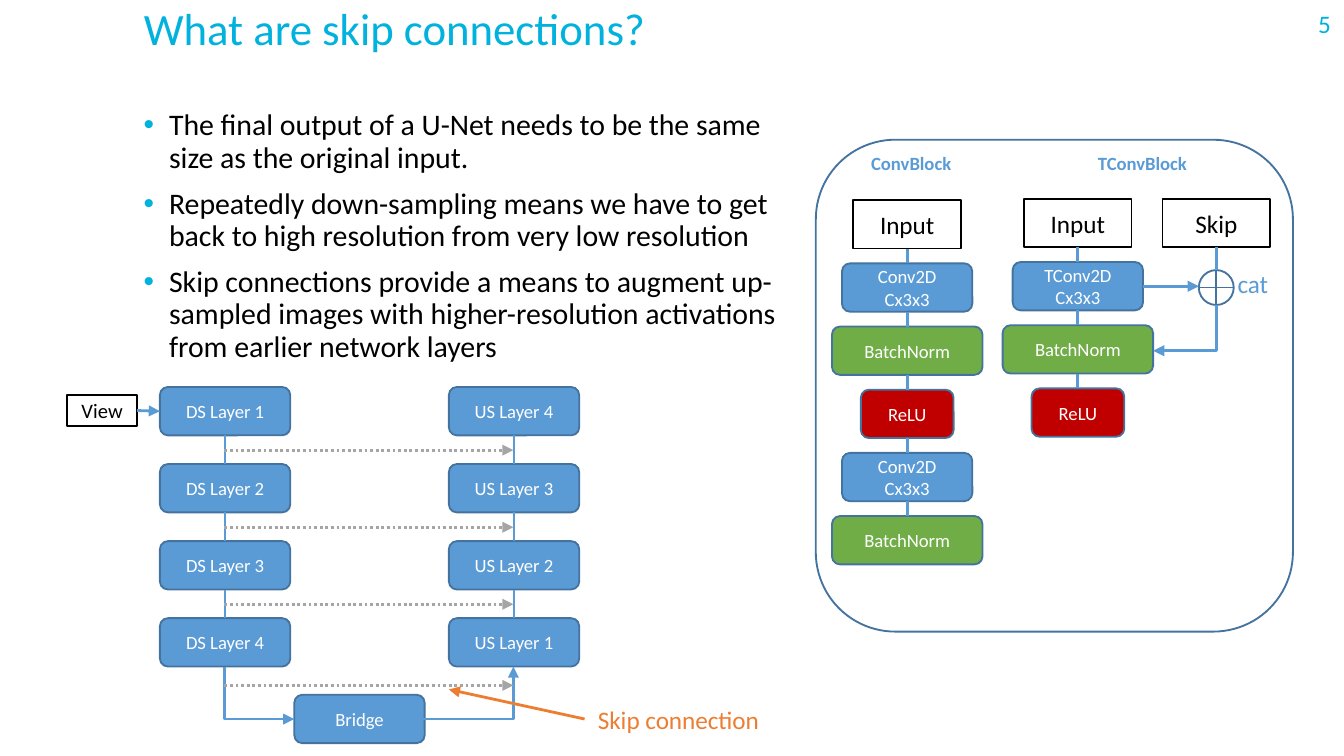
from dataclasses import dataclass

from lxml import etree
from pptx import Presentation
from pptx.dml.color import RGBColor
from pptx.enum.dml import MSO_LINE
from pptx.enum.shapes import MSO_CONNECTOR, MSO_SHAPE
from pptx.enum.text import MSO_ANCHOR, PP_ALIGN
from pptx.oxml.ns import qn
from pptx.util import Inches, Pt

STRAIGHT, ELBOW = MSO_CONNECTOR.STRAIGHT, MSO_CONNECTOR.ELBOW
RECT, ROUND = MSO_SHAPE.RECTANGLE, MSO_SHAPE.ROUNDED_RECTANGLE
CIRCLE = MSO_SHAPE.FLOWCHART_OR
LEFT, CENTER, RIGHT = PP_ALIGN.LEFT, PP_ALIGN.CENTER, PP_ALIGN.RIGHT
TOP, MIDDLE = MSO_ANCHOR.TOP, MSO_ANCHOR.MIDDLE
DOTS = MSO_LINE.ROUND_DOT
TOP_SIDE, LEFT_SIDE, BOTTOM_SIDE, RIGHT_SIDE = range(4)


@dataclass
class Theme:
    font: str = "Calibri"
    accent: str = "00B2DD"
    black: str = "000000"
    white: str = "FFFFFF"
    blue: str = "5B9BD5"
    edge: str = "43739E"
    green: str = "70AD47"
    red: str = "C00000"
    gray: str = "A5A5A5"
    orange: str = "ED7D31"
    title: float = 24
    body: float = 16
    label: float = 13.5
    view: float = 11
    small: float = 10


class Page:
    def __init__(self, slide, theme):
        self.slide, self.theme = slide, theme

    def run(self, para, text, size, color, bold=False):
        run = para.add_run()
        run.text = text
        font = run.font
        font.name, font.size, font.bold = self.theme.font, Pt(size), bold
        font.color.rgb = RGBColor.from_string(color)

    def title(self, text, x, y, w, h):
        shape = self.slide.shapes.title
        shape.left, shape.top, shape.width, shape.height = map(Inches, (x, y, w, h))
        frame = shape.text_frame
        frame.vertical_anchor = TOP
        para = frame.paragraphs[0]
        para.alignment, para.line_spacing = LEFT, 0.9
        self.run(para, text, self.theme.title, self.theme.accent)

    def label(self, text, x, y, w, h, color, size, align=LEFT, bold=False, wrap=False):
        box = self.slide.shapes.add_textbox(*map(Inches, (x, y, w, h)))
        box.text_frame.word_wrap = wrap
        para = box.text_frame.paragraphs[0]
        para.alignment = align
        self.run(para, text, size, color, bold)

    def bullets(self, items, x, y, w, h):
        box = self.slide.shapes.add_textbox(*map(Inches, (x, y, w, h)))
        frame = box.text_frame
        frame.word_wrap = True
        for i, item in enumerate(items):
            para = frame.add_paragraph() if i else frame.paragraphs[0]
            props = para._p.get_or_add_pPr()
            props.set("marL", str(Inches(0.19)))
            props.set("indent", str(-Inches(0.19)))
            tint = etree.SubElement(props, qn("a:buClr"))
            etree.SubElement(tint, qn("a:srgbClr"), val=self.theme.accent)
            etree.SubElement(props, qn("a:buFont"), typeface="Arial")
            etree.SubElement(props, qn("a:buChar"), char="•")
            para.line_spacing = 0.9
            para.space_before = Pt(7.5 if i else 0)
            self.run(para, item, self.theme.body, self.theme.black)

    def box(self, kind, x, y, w, h, lines=(), fill=None, edge=None, color=None, size=None):
        theme = self.theme
        shape = self.slide.shapes.add_shape(kind, *map(Inches, (x, y, w, h)))
        shape.shadow.inherit = False
        if fill:
            shape.fill.solid()
            shape.fill.fore_color.rgb = RGBColor.from_string(fill)
        else:
            shape.fill.background()
        shape.line.color.rgb = RGBColor.from_string(edge or theme.edge)
        shape.line.width = Pt(1)
        frame = shape.text_frame
        frame.word_wrap, frame.vertical_anchor = True, MIDDLE
        frame.margin_left = frame.margin_right = 0
        frame.margin_top = frame.margin_bottom = 0
        for i, text in enumerate(lines):
            para = frame.add_paragraph() if i else frame.paragraphs[0]
            para.alignment = CENTER
            self.run(para, text, size or theme.small, color or theme.white)
        return shape

    def frame(self, text, x, y, w=0.8, h=0.36, fill=None, size=None):
        """Draw a square box with a black outline and black text."""
        black = self.theme.black
        return self.box(RECT, x, y, w, h, [text], fill, black, black,
                        size or self.theme.label)

    def layer(self, text, x, y):
        return self.box(ROUND, x, y, 0.97, 0.36, [text], self.theme.blue)

    def line(self, start, end, color=None, arrow=True, dash=None, kind=STRAIGHT):
        ends = map(Inches, (*start, *end))
        line = self.slide.shapes.add_connector(kind, *ends)
        line.line.color.rgb = RGBColor.from_string(color or self.theme.blue)
        line.line.width = Pt(1.5)
        if dash:
            line.line.dash_style = dash
        if arrow:
            etree.SubElement(line.line._get_or_add_ln(), qn("a:tailEnd"), type="triangle")
        etree.SubElement(line._element.spPr, qn("a:effectLst"))
        return line

    def link(self, start, end, out=BOTTOM_SIDE, into=TOP_SIDE, arrow=False):
        line = self.line((0, 0), (1, 1), arrow=arrow)
        line.begin_connect(start, out)
        line.end_connect(end, into)

    def bend(self, start, end, down=False):
        """Draw a one-corner arrow: across first, or down first by a quarter turn."""
        if down:
            (x1, y1), (x2, y2) = start, end
            w, h = y2 - y1, x2 - x1
            mid_x, mid_y = (x1 + x2) / 2, (y1 + y2) / 2
            start = mid_x - w / 2, mid_y + h / 2
            end = mid_x + w / 2, mid_y - h / 2
        line = self.line(start, end, kind=ELBOW)
        props = line._element.spPr
        props.find(qn("a:prstGeom")).set("prst", "bentConnector2")
        if down:
            props.find(qn("a:xfrm")).set("rot", "5400000")

    def block(self, mid, top, parts):
        """Stack an input and its layers on a centre line; return the shapes."""
        step = 0.47
        shapes = [self.frame("Input", mid - 0.4, top)]
        for i, (lines, w, fill) in enumerate(parts, 1):
            shapes.append(self.box(ROUND, mid - w / 2, top + i * step, w, 0.36, lines, fill))
        self.chain(shapes)
        return shapes

    def chain(self, shapes):
        for upper, lower in zip(shapes, shapes[1:]):
            self.link(upper, lower)


def main():
    theme = Theme()
    deck = Presentation()
    deck.slide_width = Inches(10)
    deck.slide_height = deck.slide_width * 9 // 16
    page = Page(deck.slides.add_slide(deck.slide_layouts[5]), theme)

    page.title("What are skip connections?", 0.97, 0, 5.88, 0.42)
    page.label("5", 9.56, 0.01, 0.44, 0.33, theme.accent, theme.label, RIGHT, wrap=True)
    page.bullets([
        "The final output of a U-Net needs to be the same size as the original input.",
        "Repeatedly down-sampling means we have to get back to high resolution "
        "from very low resolution",
        "Skip connections provide a means to augment up-sampled images with "
        "higher-resolution activations from earlier network layers",
    ], 0.97, 0.77, 4.97, 3.76)

    # Blocks in detail
    page.box(ROUND, 6.07, 1.04, 3.55, 3.66)
    for text, mid in (("ConvBlock", 6.78), ("TConvBlock", 8.5)):
        page.label(text, mid - 0.5, 1.08, 1, 0.27, theme.blue, theme.small, CENTER, True)
    conv = ["Conv2D", "Cx3x3"], 0.97, theme.blue
    up = ["TConv2D", "Cx3x3"], 0.97, theme.blue
    norm = ["BatchNorm"], 1.12, theme.green
    relu = ["ReLU"], 0.69, theme.red
    page.block(6.75, 1.49, [conv, norm, relu, conv, norm])
    tconv = page.block(8.02, 1.48, [up, norm, relu])[1]
    skip = page.frame("Skip", 8.65, 1.48)
    cat = page.box(CIRCLE, 8.92, 2.01, 0.26, 0.26, fill=theme.white)
    page.link(skip, cat)
    page.line((8.5, 2.13), (8.92, 2.13)).begin_connect(tconv, RIGHT_SIDE)
    page.bend((9.05, 2.27), (8.58, 2.61), down=True)
    page.label("cat", 9.11, 1.95, 0.43, 0.33, theme.blue, theme.label)

    # U-Net overview
    rows = [2.88 + i * 1.72 / 3 for i in range(4)]
    downs = [page.layer(f"DS Layer {i + 1}", 1.19, y) for i, y in enumerate(rows)]
    ups = [page.layer(f"US Layer {4 - i}", 3.34, y) for i, y in enumerate(rows)]
    page.chain(downs)
    page.chain(ups)
    view = page.frame("View", 0.5, 2.94, 0.52, 0.23, theme.white, theme.view)
    page.link(view, downs[0], RIGHT_SIDE, LEFT_SIDE, arrow=True)
    page.layer("Bridge", 2.19, 5.17)
    page.bend((1.67, 4.96), (2.19, 5.35), down=True)
    page.bend((3.15, 5.35), (3.82, 4.96))
    for y in [top + 0.47 for top in rows[:3]] + [5.1]:
        page.line((1.67, y), (3.82, y), theme.gray, dash=DOTS)
    page.line((4.35, 5.35), (3.34, 5.13), theme.orange)
    page.label("Skip connection", 4.35, 5.19, 1.47, 0.33, theme.orange, theme.label)

    deck.save("out.pptx")


if __name__ == "__main__":
    main()
